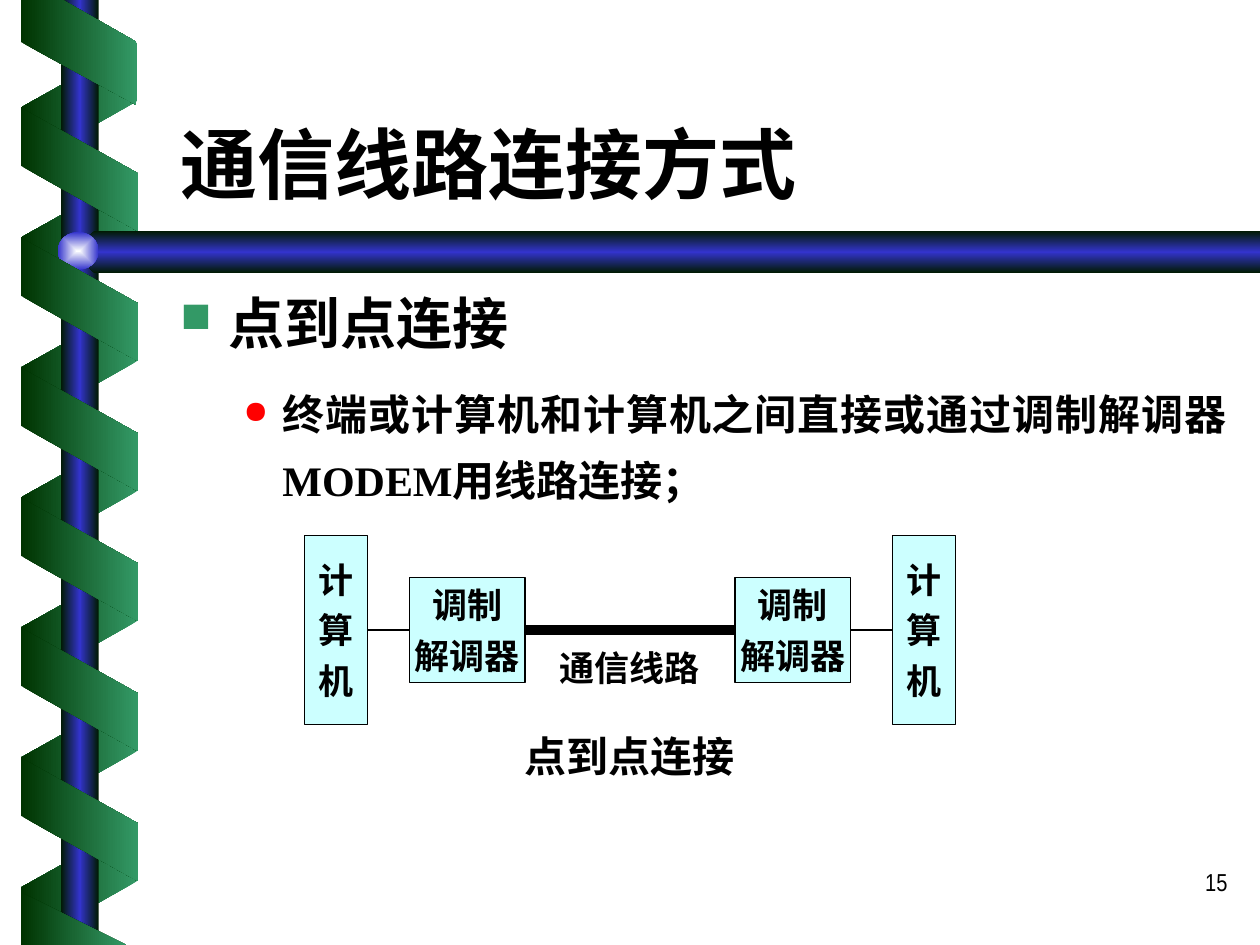
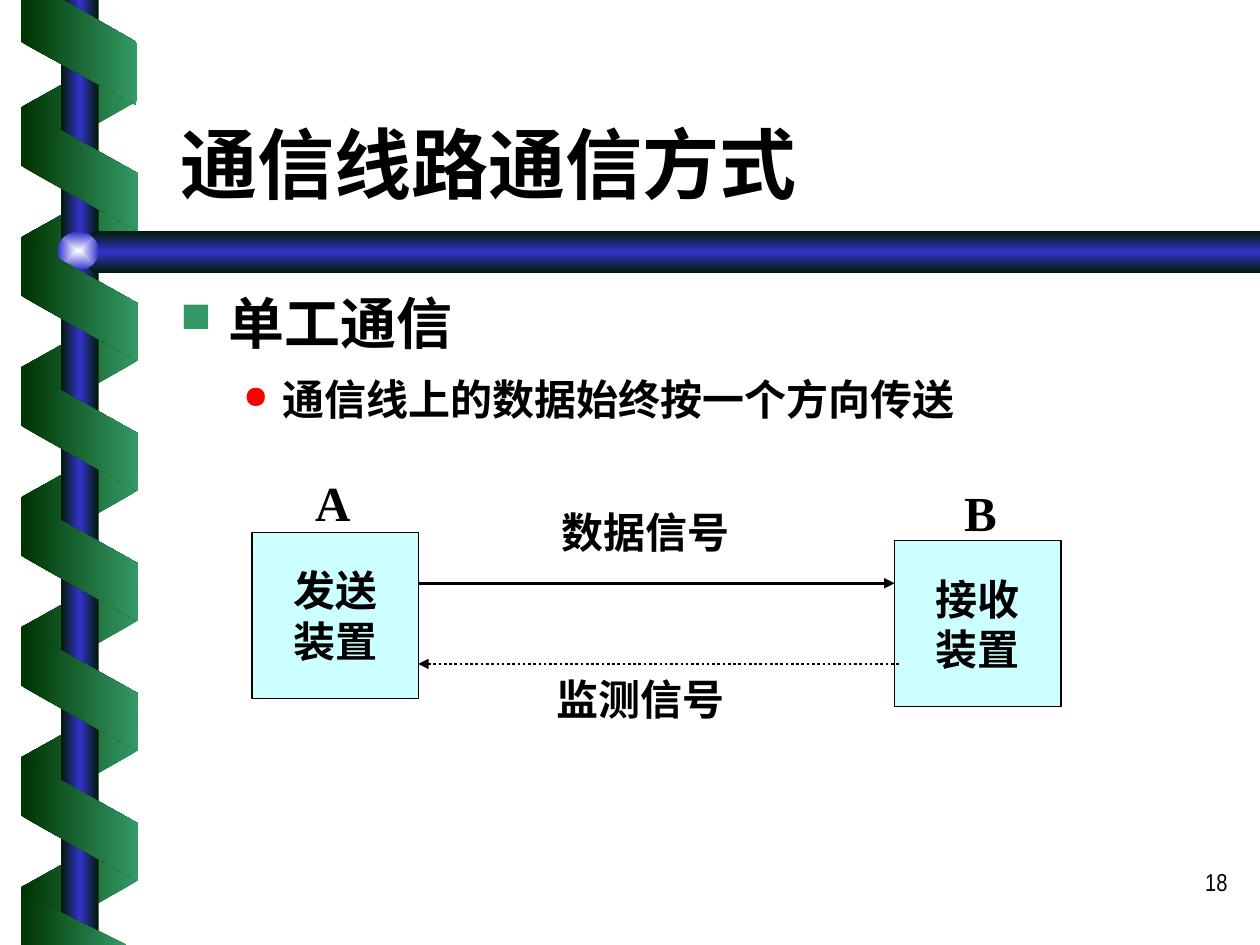
from dataclasses import dataclass
from typing import NamedTuple

from pptx import Presentation
from pptx.dml.color import RGBColor
from pptx.enum.dml import MSO_LINE
from pptx.enum.shapes import MSO_CONNECTOR, MSO_SHAPE
from pptx.enum.text import MSO_ANCHOR, PP_ALIGN
from pptx.oxml import parse_xml
from pptx.oxml.ns import nsdecls, qn
from pptx.util import Emu, Inches, Pt

RECT, OVAL, BAND = MSO_SHAPE.RECTANGLE, MSO_SHAPE.OVAL, MSO_SHAPE.PARALLELOGRAM
STRAIGHT, DOTTED = MSO_CONNECTOR.STRAIGHT, MSO_LINE.ROUND_DOT
LEFT, CENTER, RIGHT, JUSTIFY = PP_ALIGN.LEFT, PP_ALIGN.CENTER, PP_ALIGN.RIGHT, PP_ALIGN.JUSTIFY
TOP, MIDDLE, BOTTOM = MSO_ANCHOR.TOP, MSO_ANCHOR.MIDDLE, MSO_ANCHOR.BOTTOM
SIDE_LEFT, SIDE_RIGHT = 1, 3

# Grid of 120 columns by 90 rows; all places below are in its cells
COLS, ROWS = 120, 90
CELL = Inches(10) // COLS

BLACK, RED, PALE = "000000", "FF0000", "CCFFFF"
DARK_GREEN, GREEN = "003300", "339966"
ROD_EDGE, BLUE, SHINE = "001A00", "3333CC", "FEFFFF"
SERIF, NARROW = "Times New Roman", "Arial Narrow"

RIBBON = [(0, DARK_GREEN), (100, GREEN)]
RIBBON_BACK = [(0, GREEN), (100, DARK_GREEN)]
ROD = [(0, ROD_EDGE), (50, BLUE), (100, ROD_EDGE)]
TURN = 12.38  # rows from one turn of the ribbon to the next


class Area(NamedTuple):
    x: float
    y: float
    w: float
    h: float


class Bullet(NamedTuple):
    char: str
    color: str
    margin: float
    hang: float
    level: int = 0


@dataclass
class Style:
    size: float
    align: PP_ALIGN = CENTER
    anchor: MSO_ANCHOR = TOP
    font: str = SERIF
    bold: bool = True
    inset: tuple = (0.1, 0.05)
    wrap: bool = True
    gap: float = 0
    spacing: float = 1.0


@dataclass
class Label:
    area: Area
    text: str
    style: Style


SQUARE = Bullet("■", GREEN, 0.38, 0.38)
DOT = Bullet("●", RED, 0.81, 0.31, 1)
TITLE = Style(44, LEFT, BOTTOM)
TOPIC = Style(32, LEFT)
NUMBER = Style(14, RIGHT, font=NARROW, bold=False)
DEVICE = Style(20, anchor=MIDDLE, wrap=False, gap=5)
STATION = Style(24, anchor=MIDDLE, inset=(0.02, 0.05))
SIGNAL = Style(24, inset=(0, 0))
LETTER = Style(28, inset=(0, 0))


def rgb(value: str) -> RGBColor:
    return RGBColor.from_string(value)


def cells(*values: float) -> list:
    return [Emu(round(v * CELL)) for v in values]


def fill_gradient(sp, stops: list, angle: int = 0, centred: bool = False) -> None:
    sp.shadow.inherit = False
    sp.line.fill.background()
    sp.fill.solid()
    gs = "".join(f'<a:gs pos="{pos * 1000}"><a:srgbClr val="{color}"/></a:gs>'
                 for pos, color in stops)
    if centred:
        kind = ('<a:path path="rect"><a:fillToRect l="50000" t="50000" '
                'r="50000" b="50000"/></a:path>')
    else:
        kind = f'<a:lin ang="{angle * 60000}" scaled="1"/>'
    grad = parse_xml(f'<a:gradFill rotWithShape="0" {nsdecls("a")}>'
                     f'<a:gsLst>{gs}</a:gsLst>{kind}</a:gradFill>')
    sp_pr = sp._element.spPr
    sp_pr.replace(sp_pr.find(qn("a:solidFill")), grad)


def add_bullet(p, bullet: Bullet) -> None:
    p.level = bullet.level
    p_pr = p._p.get_or_add_pPr()
    p_pr.set("marL", str(Inches(bullet.margin)))
    p_pr.set("indent", str(-Inches(bullet.hang)))
    for xml in (f'<a:buClr {nsdecls("a")}><a:srgbClr val="{bullet.color}"/></a:buClr>',
                f'<a:buSzPct {nsdecls("a")} val="75000"/>',
                f'<a:buChar {nsdecls("a")} char="{bullet.char}"/>'):
        p_pr.append(parse_xml(xml))


def write(sp, text: str, style: Style, bullet: Bullet | None = None) -> None:
    tf = sp.text_frame
    tf.text = text
    tf.word_wrap = style.wrap
    tf.vertical_anchor = style.anchor
    tf.margin_left = tf.margin_right = Inches(style.inset[0])
    tf.margin_top = tf.margin_bottom = Inches(style.inset[1])
    for i, p in enumerate(tf.paragraphs):
        if bullet:
            add_bullet(p, bullet)
        p.alignment = style.align
        p.line_spacing = style.spacing
        p.space_before = Pt(style.gap if i else 0)
        for r in p.runs:
            r.font.size, r.font.name, r.font.bold = Pt(style.size), style.font, style.bold
            r.font.color.rgb = rgb(BLACK)


def add_label(s, label: Label, bullet: Bullet | None = None):
    sp = s.shapes.add_textbox(*cells(*label.area))
    write(sp, label.text, label.style, bullet)
    return sp


def add_box(s, box: Label):
    sp = s.shapes.add_shape(RECT, *cells(*box.area))
    sp.shadow.inherit = False
    sp.fill.solid()
    sp.fill.fore_color.rgb = rgb(PALE)
    sp.line.color.rgb = rgb(BLACK)
    sp.line.width = Pt(0.75)
    write(sp, box.text, box.style)
    return sp


def add_line(s, x1: float, y1: float, x2: float, y2: float, width: float = 1.5,
             arrow: bool = False, dash: MSO_LINE | None = None):
    line = s.shapes.add_connector(STRAIGHT, *cells(x1, y1, x2, y2))
    line.line.color.rgb = rgb(BLACK)
    line.line.width = Pt(width)
    if dash:
        line.line.dash_style = dash
    if arrow:
        line.line._get_or_add_ln().append(
            parse_xml(f'<a:tailEnd {nsdecls("a")} type="triangle"/>'))
    line._element.spPr.append(parse_xml(f'<a:effectLst {nsdecls("a")}/>'))
    return line


def join(s, left, right, width: float) -> None:
    line = add_line(s, 0, 0, 0, 0, width)
    line.begin_connect(left, SIDE_RIGHT)
    line.end_connect(right, SIDE_LEFT)


def add_outline(s, points: list, stops: list, angle: int = 0) -> None:
    builder = s.shapes.build_freeform(*points[0], scale=CELL)
    builder.add_line_segments(points[1:], close=True)
    fill_gradient(builder.convert_to_shape(), stops, angle)


def add_ribbon(s, top: float, turns: int, height: float, front: bool) -> None:
    for turn in range(turns):
        sp = s.shapes.add_shape(BAND, *cells(1.68, top + turn * TURN, 11.76, height))
        sp.adjustments[0] = 0.56
        sp.rotation = 270 if front else 90
        if not front:
            sp._element.spPr.find(qn("a:xfrm")).set("flipH", "1")
        fill_gradient(sp, RIBBON if front else RIBBON_BACK)


def add_backdrop(s) -> None:
    add_ribbon(s, 4.4, 7, 11.04, front=False)
    # Upright rod, crossbar and the ball where they meet
    fill_gradient(s.shapes.add_shape(RECT, *cells(5.8, 0, 3.6, ROWS)), ROD)
    add_outline(s, [(COLS, 22.36), (9.1, 22.36), (7.2, 24), (9.1, 25.7), (COLS, 25.7)],
                ROD, 90)
    ball = s.shapes.add_shape(OVAL, *cells(5.5, 22.1, 3.9, 3.6))
    fill_gradient(ball, [(0, SHINE), (100, BLUE)], centred=True)
    # Front of the ribbon, with the turns cut by the slide's edges
    add_ribbon(s, 10.56, 6, 11.16, front=True)
    add_outline(s, [(2, 0), (2, 3.5), (13.1, 9.7), (13.1, 4.15), (5.65, 0)], RIBBON)
    add_outline(s, [(11.5, ROWS), (2, 84.6), (2, ROWS)], RIBBON)


def add_page(prs, number: int, title: str, topic: str, point: Label):
    s = prs.slides.add_slide(prs.slide_layouts[6])
    add_backdrop(s)
    add_label(s, Label(Area(93.1, 82, 25, 6), str(number), NUMBER))
    add_label(s, Label(Area(16, 5.5, 102, 15), title, TITLE))
    add_label(s, Label(Area(16, 26.9, 102, 9.1), topic, TOPIC), SQUARE)
    add_label(s, point, DOT)
    return s


def build_point_to_point(prs) -> None:
    point = Label(Area(16, 35, 102, 15),
                  "终端或计算机和计算机之间直接或通过调制解调器MODEM用线路连接；",
                  Style(24, JUSTIFY, spacing=1.3))
    s = add_page(prs, 15, "通信线路连接方式", "点到点连接", point)
    # Computer, modem, modem, computer
    computers = [add_box(s, Label(Area(x, 51, 6, 18), "计\n算\n机", DEVICE)) for x in (29, 85)]
    modems = [add_box(s, Label(Area(x, 55, 11, 10), "调制\n解调器", DEVICE)) for x in (39, 70)]
    join(s, computers[0], modems[0], 1.5)
    join(s, modems[0], modems[1], 6)
    join(s, modems[1], computers[1], 1.5)
    add_label(s, Label(Area(51, 61, 18, 5.3), "通信线路", Style(20)))
    add_label(s, Label(Area(39, 69, 42, 6), "点到点连接", Style(24)))


def build_simplex(prs) -> None:
    point = Label(Area(16, 35, 102, 9.1), "通信线上的数据始终按一个方向传送", Style(24, JUSTIFY))
    s = add_page(prs, 18, "通信线路通信方式", "单工通信", point)
    # Sender and receiver with their letters
    for x, y, text in ((24, 50.7, "发送\n装置"), (85.2, 51.5, "接收\n装置")):
        add_box(s, Label(Area(x, y, 15.84, 15.8), text, STATION))
    for x, y, text in ((27.6, 45, "A"), (89.3, 46, "B")):
        add_label(s, Label(Area(x, y, 8.16, 4.6), text, LETTER))
    # Signals between them
    add_line(s, 39.84, 55.55, 85.2, 55.55, arrow=True)
    add_line(s, 85.6, 63.24, 39.84, 63.24, arrow=True, dash=DOTTED)
    for x, y, text in ((47.9, 48.25, "数据信号"), (47.5, 64.1, "监测信号")):
        add_label(s, Label(Area(x, y, 27.1, 7.7), text, SIGNAL))


def main() -> None:
    prs = Presentation()
    prs.slide_width, prs.slide_height = cells(COLS, ROWS)
    build_point_to_point(prs)
    build_simplex(prs)
    prs.save("out.pptx")


if __name__ == "__main__":
    main()
